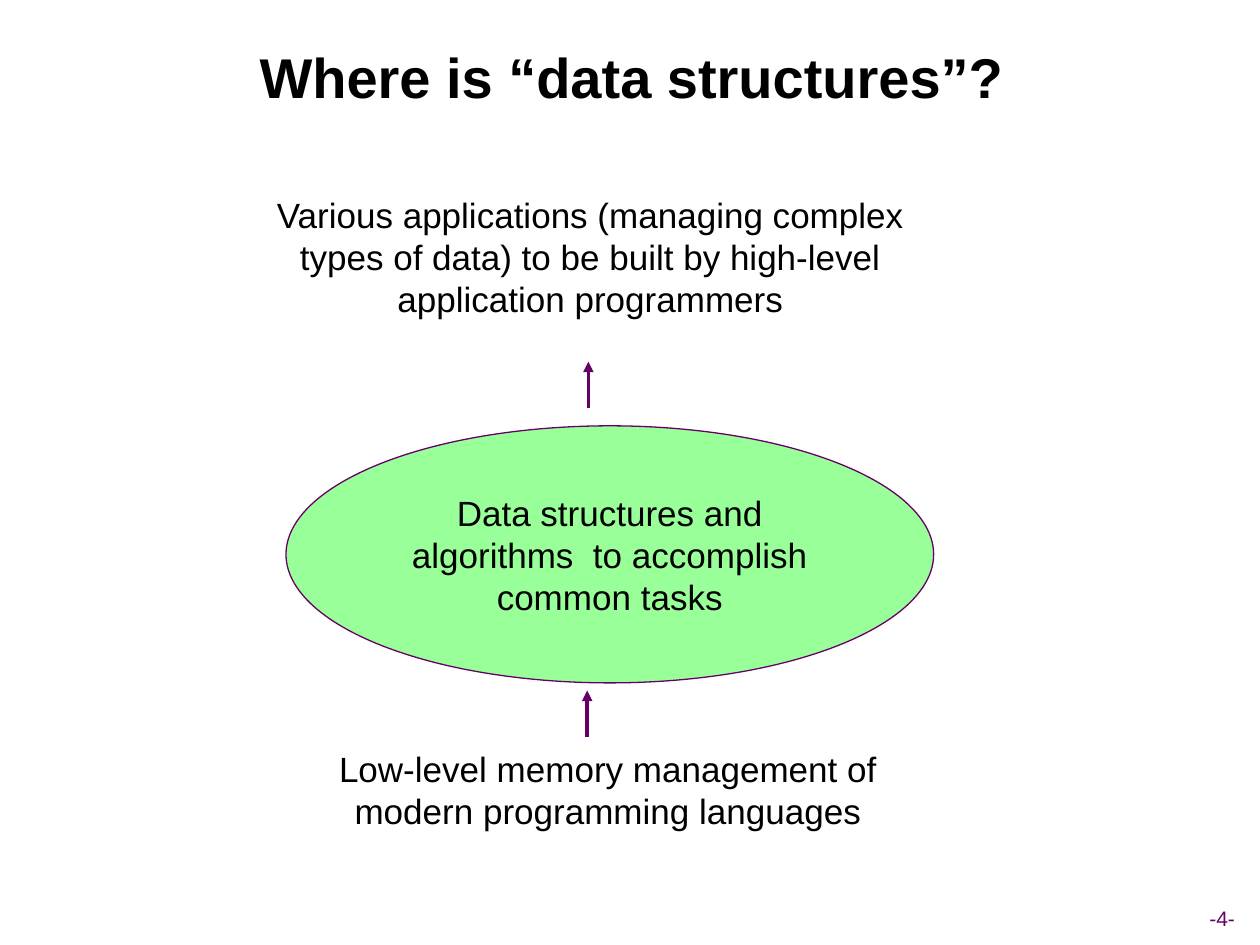
"""Build a slide that places data structures between applications and memory management."""
from dataclasses import dataclass

from lxml.etree import SubElement
from pptx import Presentation
from pptx.dml.color import RGBColor
from pptx.enum.shapes import MSO_CONNECTOR, MSO_SHAPE
from pptx.enum.text import MSO_ANCHOR, PP_ALIGN
from pptx.oxml.ns import qn
from pptx.util import Inches, Pt


@dataclass(frozen=True)
class Theme:
    font: str = "Arial"
    ink: str = "000000"
    plum: str = "660066"
    mint: str = "99FF99"
    head: int = 32
    body: int = 20
    foot: int = 12
    edge: float = 0.75
    stem: int = 2


THEME = Theme()
WIDE, HIGH = 10, 7.5
PAD = (0.1, 0.05)
TITLE = ("Where is “data structures”?", (0.38, 0.13, 9.27, 0.95))
LAYERS = [
    ("Various applications (managing complex types of data) to be built by "
     "high-level application programmers", (1.99, 1.49, 5.39, 1.1)),
    ("Low-level memory management of modern programming languages",
     (2.13, 5.88, 5.39, 0.77)),
]
CORE = ("Data structures and algorithms  to accomplish common tasks",
        (2.27, 3.38, 5.14, 2.04))
PAGE = ("-4-", (9.4, 7.14, 0.6, 0.3))
RISE = 0.37
ARROWS = [(4.66, 5.85), (4.67, 3.24)]


def color(code):
    """Turn a hex code into a colour."""
    return RGBColor.from_string(code)


def place(shape, box):
    """Set the position and size of a shape in inches."""
    shape.left, shape.top, shape.width, shape.height = map(Inches, box)


def write(shape, text, size, ink=THEME.ink, bold=False,
          anchor=MSO_ANCHOR.MIDDLE, pad=PAD, wrap=True):
    """Fill a shape with one centred run of text."""
    frame = shape.text_frame
    frame.word_wrap = wrap
    frame.vertical_anchor = anchor
    frame.margin_left = frame.margin_right = Inches(pad[0])
    frame.margin_top = frame.margin_bottom = Inches(pad[1])
    para = frame.paragraphs[0]
    para.alignment = PP_ALIGN.CENTER
    run = para.add_run()
    run.text = text
    font = run.font
    font.name, font.size, font.bold = THEME.font, Pt(size), bold
    font.color.rgb = color(ink)


def add_arrow(slide, x, y):
    """Draw an arrow that rises from the given point."""
    line = slide.shapes.add_connector(
        MSO_CONNECTOR.STRAIGHT, *map(Inches, (x, y, x, y - RISE)))
    line.line.color.rgb = color(THEME.plum)
    line.line.width = Pt(THEME.stem)
    SubElement(line.line._get_or_add_ln(), qn("a:tailEnd"), type="triangle")
    SubElement(line._element.spPr, qn("a:effectLst"))


def main():
    """Build and save the slide."""
    deck = Presentation()
    deck.slide_width, deck.slide_height = Inches(WIDE), Inches(HIGH)
    slide = deck.slides.add_slide(deck.slide_layouts[5])

    text, box = TITLE
    place(slide.shapes.title, box)
    write(slide.shapes.title, text, THEME.head, bold=True)

    for text, box in LAYERS:
        label = slide.shapes.add_textbox(*map(Inches, box))
        write(label, text, THEME.body, anchor=MSO_ANCHOR.TOP)

    text, box = CORE
    oval = slide.shapes.add_shape(MSO_SHAPE.OVAL, *map(Inches, box))
    oval.shadow.inherit = False
    oval.fill.solid()
    oval.fill.fore_color.rgb = color(THEME.mint)
    oval.line.color.rgb = color(THEME.plum)
    oval.line.width = Pt(THEME.edge)
    write(oval, text, THEME.body)

    for x, y in ARROWS:
        add_arrow(slide, x, y)

    text, box = PAGE
    page = slide.shapes.add_textbox(*map(Inches, box))
    write(page, text, THEME.foot, ink=THEME.plum, pad=(0, 0), wrap=False)

    deck.save("out.pptx")


if __name__ == "__main__":
    main()
